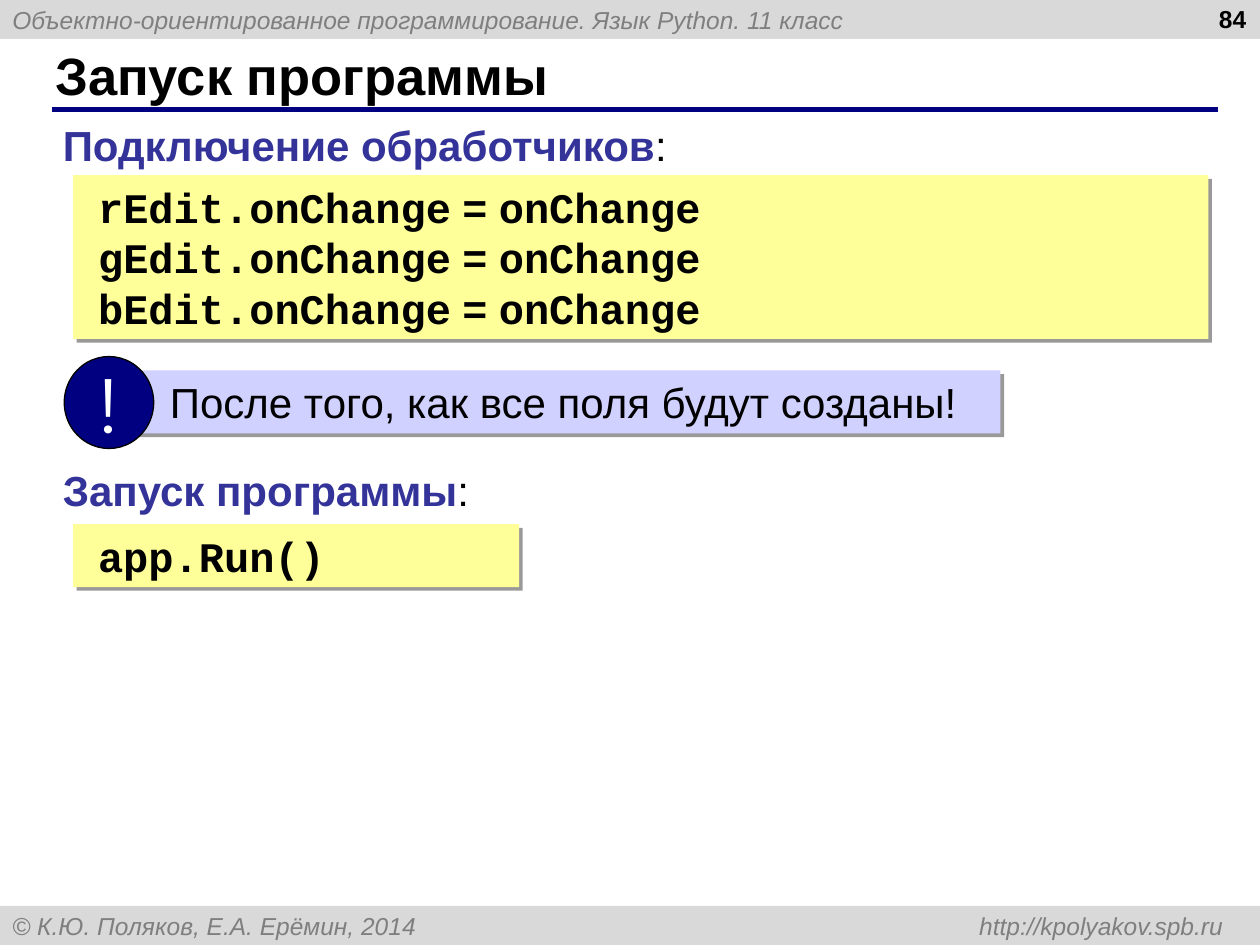
import dataclasses

import pptx
import pptx.dml.color
import pptx.enum.shapes
import pptx.enum.text
import pptx.oxml
import pptx.oxml.ns
import pptx.util
from lxml import etree

SHAPE = pptx.enum.shapes.MSO_SHAPE
ALIGN = pptx.enum.text.PP_ALIGN
ANCHOR = pptx.enum.text.MSO_ANCHOR
FIT = pptx.enum.text.MSO_AUTO_SIZE


@dataclasses.dataclass(frozen=True)
class Theme:
    sans: str = "Arial"
    mono: str = "Courier New"
    sign: str = "Montserrat"
    black: str = "000000"
    white: str = "FFFFFF"
    gray: str = "7F7F7F"
    band: str = "D9D9D9"
    navy: str = "000080"
    blue: str = "333399"
    code: str = "FFFF99"
    note: str = "D1D1FF"
    small: int = 14
    body: int = 24
    head: int = 30
    huge: int = 44


def tint(name):
    return pptx.dml.color.RGBColor.from_string(name)


class Deck:
    """Style and current slide; lengths are cells of a 100 by 75 grid."""

    def __init__(self, theme):
        self.theme = theme
        self.prs = pptx.Presentation()
        self.prs.slide_width = pptx.util.Inches(10)
        self.prs.slide_height = pptx.util.Inches(7.5)
        self.cell = self.prs.slide_width / 100
        self.slide = self.prs.slides.add_slide(self.prs.slide_layouts[6])

    def grid(self, *cells):
        return [round(n * self.cell) for n in cells]

    def style(self, run, size, color=None, bold=False, italic=False, face=None):
        font = run.font
        font.name = face or self.theme.sans
        font.size = pptx.util.Pt(size)
        font.bold, font.italic = bold, italic
        font.color.rgb = tint(color or self.theme.black)

    def text(self, box, text, size, align=ALIGN.LEFT, mid=False, wrap=True, **look):
        frame = box.text_frame
        frame.text = text
        frame.word_wrap = wrap
        frame.vertical_anchor = ANCHOR.MIDDLE if mid else ANCHOR.TOP
        for para in frame.paragraphs:
            para.alignment = align
            for run in para.runs:
                self.style(run, size, **look)
        return frame

    def label(self, area, text, size, **look):
        box = self.slide.shapes.add_textbox(*self.grid(*area))
        return self.text(box, text, size, **look)

    def shape(self, area, fill, kind=SHAPE.RECTANGLE, home=None, shade=False):
        box = (home or self.slide).shapes.add_shape(kind, *self.grid(*area))
        box.fill.solid()
        box.fill.fore_color.rgb = tint(fill)
        box.line.fill.background()
        box.shadow.inherit = False
        if shade:
            qn = pptx.oxml.ns.qn
            drop = etree.SubElement(
                box._element.spPr.find(qn("a:effectLst")), qn("a:outerShdw"),
                blurRad="0", dist=str(pptx.util.Pt(3)), dir=str(45 * 60000),
                algn="tl", rotWithShape="0")
            color = etree.SubElement(drop, qn("a:srgbClr"), val=self.theme.black)
            etree.SubElement(color, qn("a:alpha"), val="40000")
        return box

    def indent(self, para, left):
        para._p.get_or_add_pPr().set("marL", str(self.grid(left)[0]))

    def band(self, top, text, tab=None):
        box = self.shape((0, top, 100, 3.1), self.theme.band)
        frame = self.text(box, text, self.theme.small, mid=True,
                          color=self.theme.gray, italic=True)
        if tab:
            qn = pptx.oxml.ns.qn
            props = frame.paragraphs[0]._p.get_or_add_pPr()
            stops = etree.Element(qn("a:tabLst"))
            etree.SubElement(stops, qn("a:tab"), algn="r", pos=str(self.grid(tab)[0]))
            props.insert(0, stops)

    def rule(self, left, right, top):
        line = self.slide.shapes.add_connector(
            pptx.enum.shapes.MSO_CONNECTOR.STRAIGHT, *self.grid(left, top, right, top))
        line.line.color.rgb = tint(self.theme.navy)
        line.line.width = pptx.util.Pt(3)
        etree.SubElement(line._element.spPr, pptx.oxml.ns.qn("a:effectLst"))

    def topic(self, top, text):
        frame = self.label((4, top, 53.3, 5), text, self.theme.body,
                           color=self.theme.blue, bold=True)
        colon = frame.paragraphs[0].add_run()
        colon.text = ":"
        self.style(colon, self.theme.body)

    def code(self, area, lines):
        box = self.shape(area, self.theme.code, shade=True)
        frame = self.text(box, "\n".join(lines), self.theme.body,
                          bold=True, face=self.theme.mono)
        frame.auto_size = FIT.SHAPE_TO_FIT_TEXT
        for para in frame.paragraphs:
            self.indent(para, 1)
            left, sign, right = para.text.partition(" = ")
            if sign:
                # The sign is set in the narrower sans face
                para.runs[0].text = left
                for part, face in ((sign, self.theme.sans), (right, self.theme.mono)):
                    run = para.add_run()
                    run.text = part
                    self.style(run, self.theme.body, bold=True, face=face)

    def alert(self, text):
        group = self.slide.shapes.add_group_shape()
        box = self.shape((10.6, 29.4, 68.8, 5), self.theme.note, home=group, shade=True)
        frame = self.text(box, text, self.theme.body)
        self.indent(frame.paragraphs[0], 1.9)
        disc = self.shape((5.1, 28.3, 7.1, 7.3), self.theme.navy, SHAPE.OVAL, group)
        disc.line.color.rgb = tint(self.theme.black)
        disc.line.width = pptx.util.Pt(0.75)
        self.text(disc, "!", self.theme.huge, align=ALIGN.CENTER, mid=True, wrap=False,
                  color=self.theme.white, face=self.theme.sign)


def main():
    theme = Theme()
    deck = Deck(theme)

    # Header, footer and title
    deck.band(0, "Объектно-ориентированное программирование. Язык Python. 11 класс")
    deck.band(71.9, "© К.Ю. Поляков, Е.А. Ерёмин, 2014\thttp://kpolyakov.spb.ru", tab=96.1)
    deck.rule(4.1, 96.7, 8.7)
    deck.label((3.4, 3.3, 91.6, 5.2), "Запуск программы", theme.head, mid=True, bold=True)
    deck.label((76.6, -0.2, 23.3, 5.2), "84", theme.small, align=ALIGN.RIGHT, bold=True)

    # Handlers
    deck.topic(9, "Подключение обработчиков")
    deck.code((5.8, 13.9, 90.1, 13),
              [f"{name}Edit.onChange = onChange" for name in "rgb"])
    deck.alert("После того, как все поля будут созданы!")

    # Launch
    deck.topic(36.4, "Запуск программы")
    deck.code((5.8, 41.6, 35.4, 5), ["app.Run()"])

    deck.prs.save("out.pptx")


if __name__ == "__main__":
    main()
